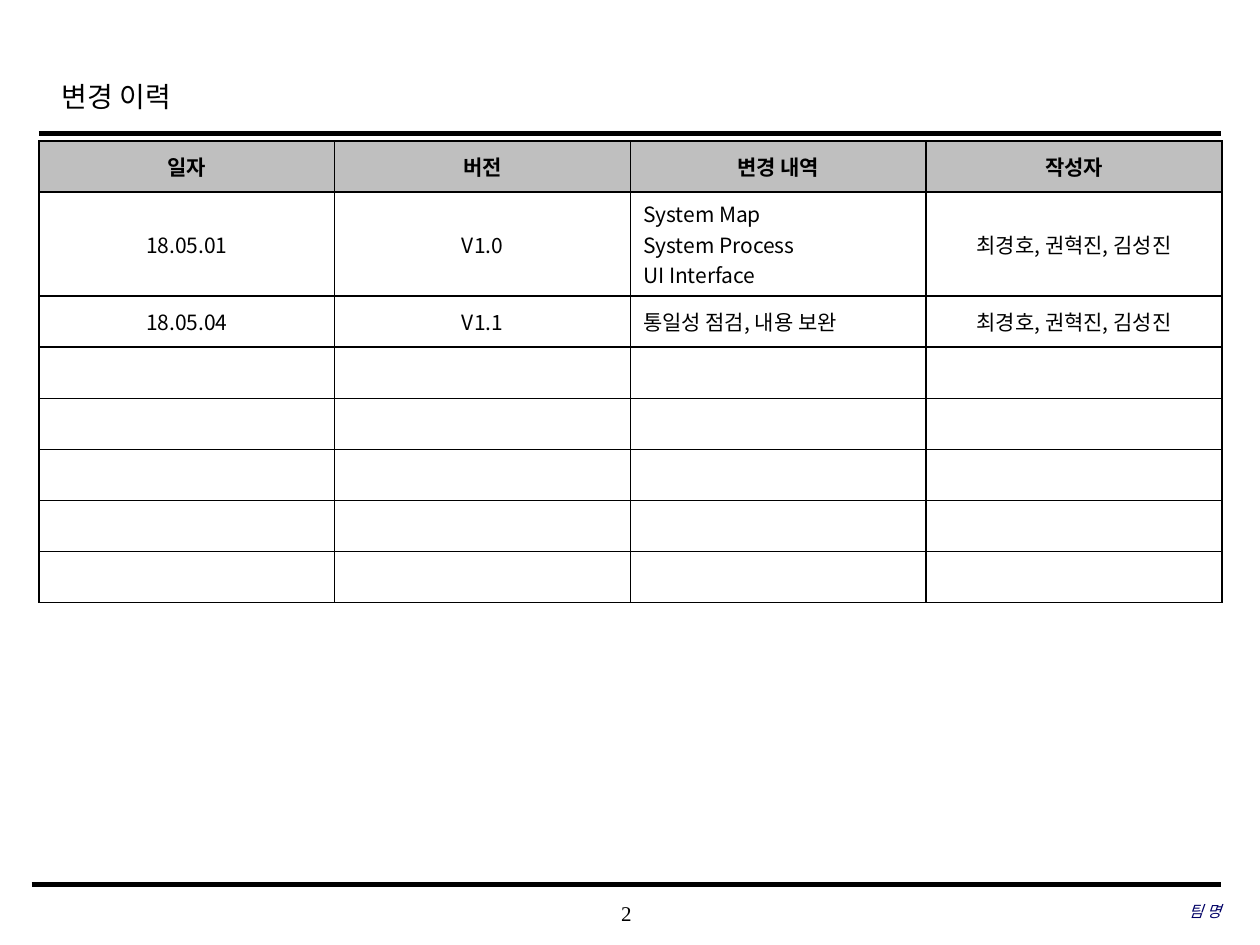
from lxml import etree
from pptx import Presentation
from pptx.dml.color import RGBColor
from pptx.enum.shapes import MSO_CONNECTOR
from pptx.enum.text import MSO_ANCHOR, PP_ALIGN
from pptx.oxml.ns import qn
from pptx.util import Pt

LEFT, CENTER, RIGHT = PP_ALIGN.LEFT, PP_ALIGN.CENTER, PP_ALIGN.RIGHT
MIDDLE = MSO_ANCHOR.MIDDLE
STRAIGHT = MSO_CONNECTOR.STRAIGHT
SANS, SERIF = "Noto Sans CJK KR", "Times New Roman"
COLORS = {"ink": "000000", "head": "BFBFBF", "paper": "FFFFFF", "team": "000066"}
AUTHORS = "최경호, 권혁진, 김성진"
HEADS = ["일자", "버전", "변경 내역", "작성자"]
CHANGES = [
    ["18.05.01", "V1.0", "System Map\nSystem Process\nUI Interface", AUTHORS],
    ["18.05.04", "V1.1", "통일성 점검, 내용 보완", AUTHORS],
]
BLANKS = 5
NOTES = 2


def color(name):
    """Return the named colour."""
    return RGBColor.from_string(COLORS[name])


def write(frame, text, face, size, align, ink="ink", bold=False, italic=False):
    """Fill a text frame and format each of its paragraphs."""
    frame.text = text
    for para in frame.paragraphs:
        para.alignment = align
        font = para.font
        font.name, font.size = face, Pt(size)
        font.bold, font.italic = bold, italic
        font.color.rgb = color(ink)


def add_rule(slide, left, top, width, weight):
    """Draw a horizontal black rule."""
    rule = slide.shapes.add_connector(
        STRAIGHT, Pt(left), Pt(top), Pt(left + width), Pt(top))
    rule.line.color.rgb = color("ink")
    rule.line.width = Pt(weight)
    etree.SubElement(rule._element.spPr, qn("a:effectLst"))


def add_label(slide, left, top, width, height, text, size, align, **style):
    """Place one line of footer text in a box without margins."""
    box = slide.shapes.add_textbox(Pt(left), Pt(top), Pt(width), Pt(height))
    frame = box.text_frame
    frame.word_wrap = True
    frame.vertical_anchor = MIDDLE
    frame.margin_left = frame.margin_right = 0
    frame.margin_top = frame.margin_bottom = 0
    write(frame, text, SERIF, size, align, **style)


def add_header(slide, left, top, width):
    """Place the title with the rule below it."""
    title = slide.shapes.title
    title.left, title.top = Pt(left + 5.8), Pt(top)
    title.width, title.height = Pt(543.6), Pt(36)
    frame = title.text_frame
    frame.vertical_anchor = MIDDLE
    write(frame, "변경 이력", SERIF, 16, LEFT)
    frame.paragraphs[0].line_spacing = 1.2
    add_rule(slide, left, top + 41, width, 2.5)


def add_border(cell):
    """Give a cell a black border on all four sides."""
    props = cell._tc.get_or_add_tcPr()
    for spot, side in enumerate(("lnL", "lnR", "lnT", "lnB")):
        line = etree.Element(qn(f"a:{side}"), w=str(Pt(1)))
        fill = etree.SubElement(line, qn("a:solidFill"))
        etree.SubElement(fill, qn("a:srgbClr"), val=COLORS["ink"])
        props.insert(spot, line)


def add_history(slide, left, top, width, height):
    """Build the table of changes with equal columns and rows."""
    rows = [HEADS, *CHANGES, *[[""] * len(HEADS)] * BLANKS]
    table = slide.shapes.add_table(
        len(rows), len(HEADS), Pt(left), Pt(top), Pt(width), Pt(height)).table
    for r, row in enumerate(rows):
        head = r == 0
        for c, text in enumerate(row):
            cell = table.cell(r, c)
            cell.fill.solid()
            cell.fill.fore_color.rgb = color("head" if head else "paper")
            cell.vertical_anchor = MIDDLE
            align = LEFT if c == NOTES and not head else CENTER
            write(cell.text_frame, text, SANS, 12, align, bold=head)
            add_border(cell)


def add_footer(slide, left, top, width):
    """Place the lower rule, the page number and the team name."""
    add_rule(slide, left, top, width, 3)
    add_label(slide, left + 265, top + 4.3, 149.8, 23.8, "2", 12, CENTER)
    add_label(slide, left + width - 220.3, top + 3.5, 220.3, 23.8, "팀 명", 9,
              RIGHT, ink="team", italic=True)


def main():
    """Build and save the slide."""
    deck = Presentation()
    deck.slide_width, deck.slide_height = Pt(720), Pt(540)
    slide = deck.slides.add_slide(deck.slide_layouts[5])
    add_header(slide, 22.3, 35.3, 675.4)
    add_history(slide, 22.3, 80.6, 676, 233.6)
    add_footer(slide, 18, 505.5, 679.7)
    deck.save("out.pptx")


if __name__ == "__main__":
    main()
